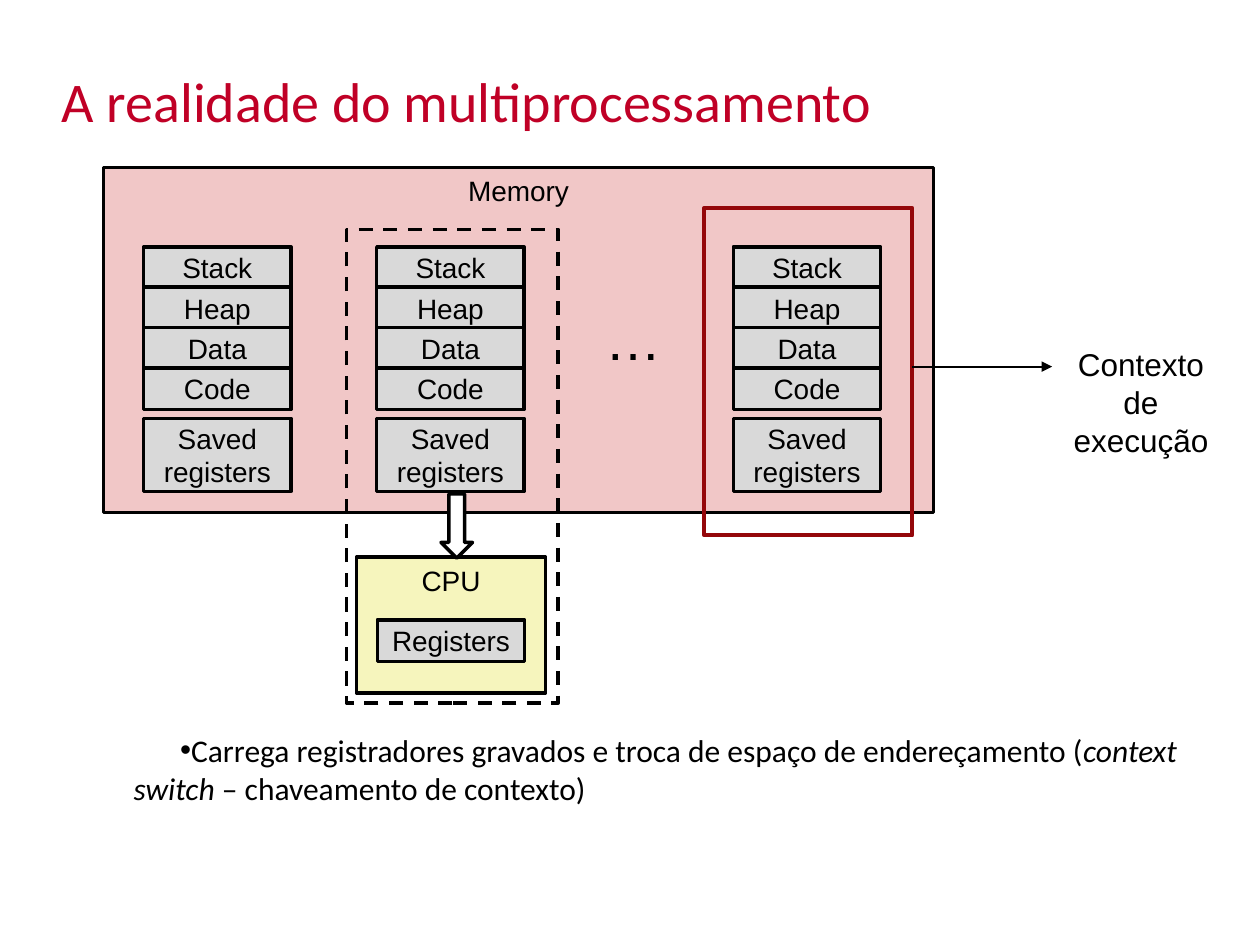
from dataclasses import dataclass

from lxml import etree
from pptx import Presentation
from pptx.dml.color import RGBColor
from pptx.enum.dml import MSO_LINE
from pptx.enum.shapes import MSO_CONNECTOR, MSO_SHAPE
from pptx.enum.text import MSO_ANCHOR, MSO_AUTO_SIZE, PP_ALIGN
from pptx.oxml.ns import qn
from pptx.util import Inches, Pt

RECT, DOWN_ARROW = MSO_SHAPE.RECTANGLE, MSO_SHAPE.DOWN_ARROW
TOP, MIDDLE = MSO_ANCHOR.TOP, MSO_ANCHOR.MIDDLE
LEFT, CENTER = PP_ALIGN.LEFT, PP_ALIGN.CENTER


@dataclass(frozen=True)
class Theme:
    ink: str = "000000"
    title: str = "C00026"
    memory: str = "F1C7C7"
    cell: str = "D9D9D9"
    cpu: str = "F6F5BD"
    arrow: str = "FFFFFF"
    context: str = "94070A"
    heading_font: str = "Calibri"
    label_font: str = "Arial"
    title_size: int = 32
    body_size: int = 18
    label_size: int = 16


T = Theme()
SEGMENTS = ("Stack", "Heap", "Data", "Code")
CELL_W, CELL_H, ROW_PITCH = 1.17, 0.33, 0.32


def place(shape, box):
    for name, value in zip(("left", "top", "width", "height"), box):
        setattr(shape, name, Inches(value))


def set_frame(tf, anchor=TOP, wrap=True):
    formats = {"word_wrap": wrap, "auto_size": MSO_AUTO_SIZE.NONE, "vertical_anchor": anchor}
    for name, value in formats.items():
        setattr(tf, name, value)


def add_run(p, text, size, font=T.label_font, color=T.ink, italic=False):
    r = p.add_run()
    r.text = text
    formats = {"name": font, "size": Pt(size), "italic": italic}
    for name, value in formats.items():
        setattr(r.font, name, value)
    r.font.color.rgb = RGBColor.from_string(color)


def add_box(s, box, fill=None, text="", anchor=TOP, line=T.ink, width=2, kind=RECT):
    sp = s.shapes.add_shape(kind, *map(Inches, box))
    sp.shadow.inherit = False
    if fill:
        sp.fill.solid()
        sp.fill.fore_color.rgb = RGBColor.from_string(fill)
    else:
        sp.fill.background()
    sp.line.color.rgb = RGBColor.from_string(line)
    sp.line.width = Pt(width)
    if text:
        set_frame(sp.text_frame, anchor)
        p = sp.text_frame.paragraphs[0]
        p.alignment = CENTER
        add_run(p, text, T.label_size)
    return sp


def add_text(s, box, lines, size, align=LEFT, wrap=True):
    tf = s.shapes.add_textbox(*map(Inches, box)).text_frame
    set_frame(tf, wrap=wrap)
    p = tf.paragraphs[0]
    p.alignment = align
    for i, line in enumerate(lines):
        if i:
            p.add_line_break()
        add_run(p, line, size)


def add_title(s, box):
    sp = s.shapes.title
    place(sp, box)
    set_frame(sp.text_frame)
    p = sp.text_frame.paragraphs[0]
    p.alignment = LEFT
    add_run(p, "A realidade do multiprocessamento", T.title_size, T.heading_font, T.title)


def add_body(s, box):
    sp = s.placeholders[1]
    place(sp, box)
    set_frame(sp.text_frame)
    p = sp.text_frame.paragraphs[0]
    p.space_before = Pt(3.6)
    pPr = p._p.get_or_add_pPr()
    pPr.set("marL", str(Inches(0.38)))
    pPr.set("indent", str(Inches(0.37)))
    etree.SubElement(pPr, qn("a:buChar"), char="•")
    parts = (
        ("Carrega registradores gravados e troca de espaço de endereçamento (", False),
        ("context switch", True),
        (" – chaveamento de contexto)", False),
    )
    for text, italic in parts:
        add_run(p, text, T.body_size, T.heading_font, italic=italic)


def add_cpu(s, box):
    x, y, w, _ = box
    add_box(s, box, T.cpu, "CPU")
    add_box(s, (x + (w - CELL_W) / 2, y + 0.5, CELL_W, CELL_H), T.cell, "Registers", MIDDLE)


def add_process(s, x, y):
    """Stack the memory segments of one process above its saved registers."""
    for i, name in enumerate(SEGMENTS):
        add_box(s, (x, y + i * ROW_PITCH, CELL_W, CELL_H), T.cell, name, MIDDLE)
    add_box(s, (x, y + 1.36, CELL_W, 0.58), T.cell, "Saved registers", MIDDLE)


def add_memory(s, box):
    x, y, _, _ = box
    add_box(s, box, T.memory, "Memory")
    for dx in (0.32, 2.17, 5):
        add_process(s, x + dx, y + 0.63)
    add_text(s, (x + 3.89, y + 1.04, 0.64, 0.63), ["…"], T.title_size, wrap=False)


def add_active_process(s, box):
    """Dashed frame around the running process, with its load arrow."""
    x, y, _, _ = box
    add_box(s, box).line.dash_style = MSO_LINE.DASH
    add_box(s, (x + 0.75, y + 2.1, 0.25, 0.51), T.arrow, kind=DOWN_ARROW)


def add_context(s, box):
    """Frame one process and point from it to the execution context label."""
    x, y, w, _ = box
    add_box(s, box, line=T.context, width=2.3)
    right, mid = x + w, y + 1.26
    cn = s.shapes.add_connector(
        MSO_CONNECTOR.STRAIGHT, *map(Inches, (right, mid, right + 1.11, mid)))
    cn.line.color.rgb = RGBColor.from_string(T.ink)
    cn.line.width = Pt(1)
    etree.SubElement(cn.line._get_or_add_ln(), qn("a:tailEnd"), type="triangle")
    etree.SubElement(cn._element.spPr, qn("a:effectLst"))
    add_text(s, (right + 1.01, y + 1.04, 1.61, 0.66),
             ["Contexto", "de execução"], T.body_size, CENTER)


def main():
    prs = Presentation()
    prs.slide_width, prs.slide_height = Inches(10), Inches(7.5)
    s = prs.slides.add_slide(prs.slide_layouts[1])
    add_title(s, (0.39, 0.48, 9.27, 0.83))
    add_body(s, (0.58, 5.75, 9.33, 0.58))
    add_cpu(s, (2.83, 4.42, 1.5, 1.08))
    add_memory(s, (0.82, 1.33, 6.59, 2.74))
    add_active_process(s, (2.75, 1.82, 1.68, 3.76))
    add_context(s, (5.59, 1.65, 1.65, 2.6))
    prs.save("out.pptx")


if __name__ == "__main__":
    main()
